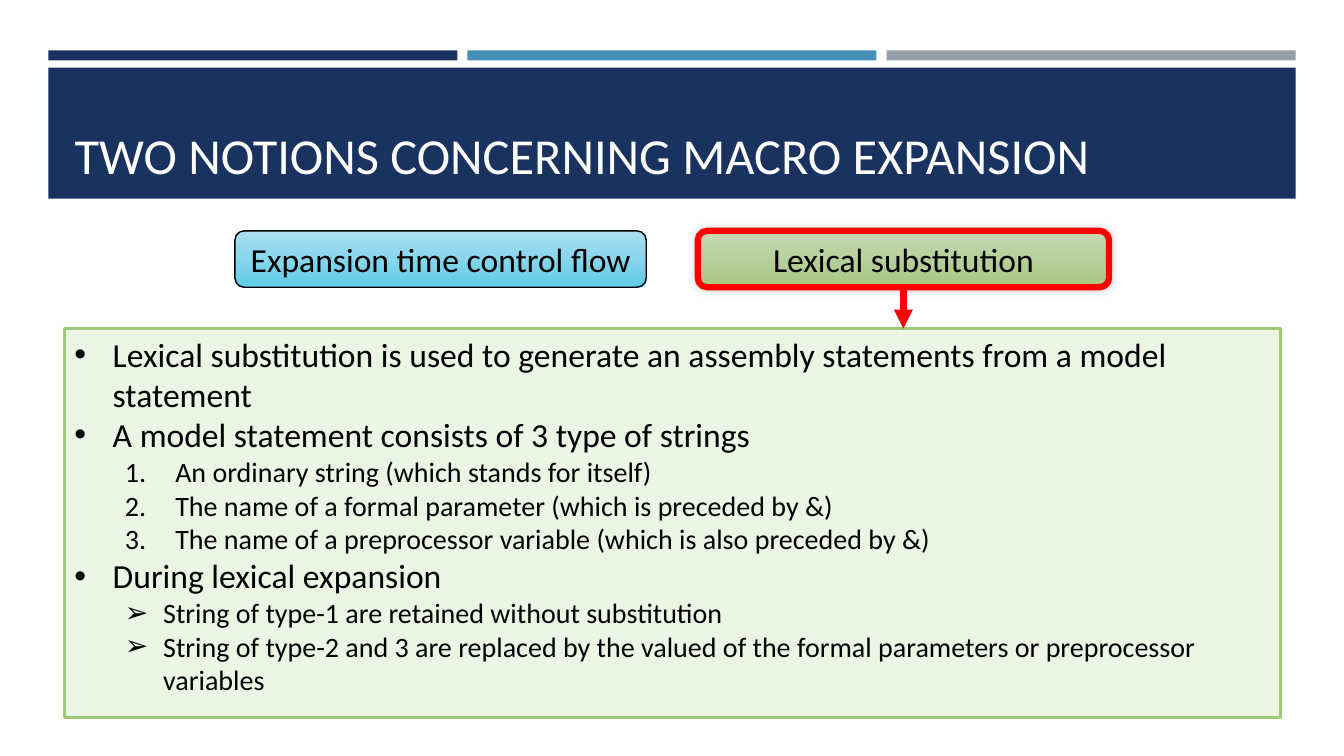
from dataclasses import dataclass

from pptx import Presentation
from pptx.dml.color import RGBColor
from pptx.enum.shapes import MSO_CONNECTOR as Connector, MSO_SHAPE as Shape
from pptx.enum.text import MSO_ANCHOR as Anchor, MSO_AUTO_SIZE as AutoSize, PP_ALIGN as Align
from pptx.oxml.ns import qn
from pptx.oxml.xmlchemy import OxmlElement
from pptx.util import Inches, Pt


@dataclass(frozen=True)
class Theme:
    font: str = "Calibri"
    title_size: int = 36
    large: int = 24
    small: int = 20
    navy: str = "1A3260"
    blue: str = "4590B8"
    grey: str = "969FA7"
    white: str = "FFFFFF"
    black: str = "000000"
    red: str = "FF0000"
    cyan_gradient: tuple = ("A2DDF0", "5FCCE8")
    green_gradient: tuple = ("C6DBB2", "A6C881")
    panel: str = "ECF4E4"
    panel_edge: str = "A2C777"


THEME = Theme()

# Paragraph kinds: level, text margin and hang in inches, bullet tag and its attributes
BULLETS = {
    "point": (0, 0.38, 0.38, "a:buChar", {"char": "•"}),
    "number": (1, 1, 0.5, "a:buAutoNum", {"type": "arabicPeriod"}),
    "arrow": (1, 0.88, 0.38, "a:buChar", {"char": "➢"}),
}

STATEMENTS = [
    ("point", "Lexical substitution is used to generate an assembly statements from a model statement"),
    ("point", "A model statement consists of 3 type of strings"),
    ("number", "An ordinary string (which stands for itself)"),
    ("number", "The name of a formal parameter (which is preceded by &)"),
    ("number", "The name of a preprocessor variable (which is also preceded by &)"),
    ("point", "During lexical expansion"),
    ("arrow", "String of type-1 are retained without substitution"),
    ("arrow", "String of type-2 and 3 are replaced by the valued of the formal parameters "
              "or preprocessor variables"),
]


def apply(target, values):
    for name, value in values.items():
        setattr(target, name, value)


def add_element(parent, tag, **attributes):
    element = OxmlElement(tag)
    for name, value in attributes.items():
        element.set(name, str(value))
    parent.append(element)
    return element


def format_font(paragraph, size, color):
    apply(paragraph.font, {"name": THEME.font, "size": Pt(size)})
    paragraph.font.color.rgb = RGBColor.from_string(color)


def add_box(slide, box, fill, line=None, width=0, kind=Shape.RECTANGLE):
    shape = slide.shapes.add_shape(kind, *map(Inches, box))
    shape.shadow.inherit = False
    if isinstance(fill, tuple):
        shape.fill.gradient()
        shape.fill.gradient_angle = 270
        for stop, color in zip(shape.fill.gradient_stops, fill):
            stop.color.rgb = RGBColor.from_string(color)
        first_color = next(shape.element.spPr.iter(qn("a:srgbClr")))
        add_element(first_color, "a:alpha", val=90000)
    else:
        shape.fill.solid()
        shape.fill.fore_color.rgb = RGBColor.from_string(fill)
    if line:
        shape.line.color.rgb = RGBColor.from_string(line)
        shape.line.width = Pt(width)
    else:
        shape.line.fill.background()
    return shape


def add_header(slide, box, title_text):
    left, top, width, height = box
    # Three strips above the banner
    gap, strip_height, banner_offset = 0.1, 0.1, 0.17
    strip = (width - 2 * gap) / 3
    for index, color in enumerate((THEME.navy, THEME.blue, THEME.grey)):
        add_box(slide, (left + index * (strip + gap), top, strip, strip_height), color)
    add_box(slide, (left, top + banner_offset, width, height - banner_offset), THEME.navy)

    # Title, brought in front of the banner
    title = slide.shapes.title
    title.element.getparent().append(title.element)
    apply(title, {"left": Inches(left + 0.16), "top": Inches(top + 0.27),
                  "width": Inches(width - 0.31), "height": Inches(1.11)})
    apply(title.text_frame, {"text": title_text, "word_wrap": True,
                             "auto_size": AutoSize.NONE, "vertical_anchor": Anchor.BOTTOM})
    paragraph = title.text_frame.paragraphs[0]
    paragraph.alignment = Align.LEFT
    format_font(paragraph, THEME.title_size, THEME.white)


def add_notion(slide, box, text, fill, line, width, glow=False, wrap=True):
    shape = add_box(slide, box, fill, line, width, Shape.ROUNDED_RECTANGLE)
    if glow:
        effects = shape.element.spPr.find(qn("a:effectLst"))
        shadow = add_element(effects, "a:outerShdw", blurRad=Pt(6), dist=0,
                             dir=225 * 60000, rotWithShape=0)
        color = add_element(shadow, "a:srgbClr", val=THEME.black)
        add_element(color, "a:alpha", val=20000)
    apply(shape.text_frame, {"text": text, "word_wrap": wrap, "vertical_anchor": Anchor.MIDDLE})
    paragraph = shape.text_frame.paragraphs[0]
    paragraph.alignment = Align.CENTER
    format_font(paragraph, THEME.large, THEME.black)
    return shape


def add_statements(slide, box, statements):
    shape = add_box(slide, box, THEME.panel, THEME.panel_edge, 1.75)
    frame = shape.text_frame
    apply(frame, {"word_wrap": True, "vertical_anchor": Anchor.TOP})
    for index, (kind, text) in enumerate(statements):
        level, margin, hang, tag, bullet = BULLETS[kind]
        paragraph = frame.add_paragraph() if index else frame.paragraphs[0]
        apply(paragraph, {"text": text, "level": level, "alignment": Align.LEFT})
        properties = paragraph._p.get_or_add_pPr()
        properties.set("marL", str(Inches(margin)))
        properties.set("indent", str(-Inches(hang)))
        add_element(properties, "a:buFont", typeface="Arial")
        add_element(properties, tag, **bullet)
        format_font(paragraph, THEME.small if level else THEME.large, THEME.black)
    return shape


def add_arrow(slide, upper, lower):
    center = upper.left + upper.width // 2
    arrow = slide.shapes.add_connector(Connector.STRAIGHT, center, upper.top + upper.height,
                                       center, lower.top)
    arrow.line.color.rgb = RGBColor.from_string(THEME.red)
    arrow.line.width = Pt(4.5)
    add_element(arrow.line._get_or_add_ln(), "a:tailEnd", type="triangle")
    add_element(arrow._element.spPr, "a:effectLst")


def build_macro_slide(presentation):
    slide = presentation.slides.add_slide(presentation.slide_layouts[5])
    add_header(slide, (0.48, 0.5, 12.37, 1.47), "TWO NOTIONS CONCERNING MACRO EXPANSION")

    # The two notions, the second one highlighted
    add_notion(slide, (2.33, 2.29, 4.08, 0.56), "Expansion time control flow",
               THEME.cyan_gradient, THEME.black, 1, wrap=False)
    lexical = add_notion(slide, (6.92, 2.29, 4.08, 0.56), "Lexical substitution",
                         THEME.green_gradient, THEME.red, 4.5, glow=True)

    # Explanation of the highlighted notion
    panel = add_statements(slide, (0.64, 3.26, 12.06, 3.86), STATEMENTS)
    add_arrow(slide, lexical, panel)


def main():
    presentation = Presentation()
    apply(presentation, {"slide_width": Inches(13.33), "slide_height": Inches(7.5)})
    build_macro_slide(presentation)
    presentation.save("out.pptx")


if __name__ == "__main__":
    main()
